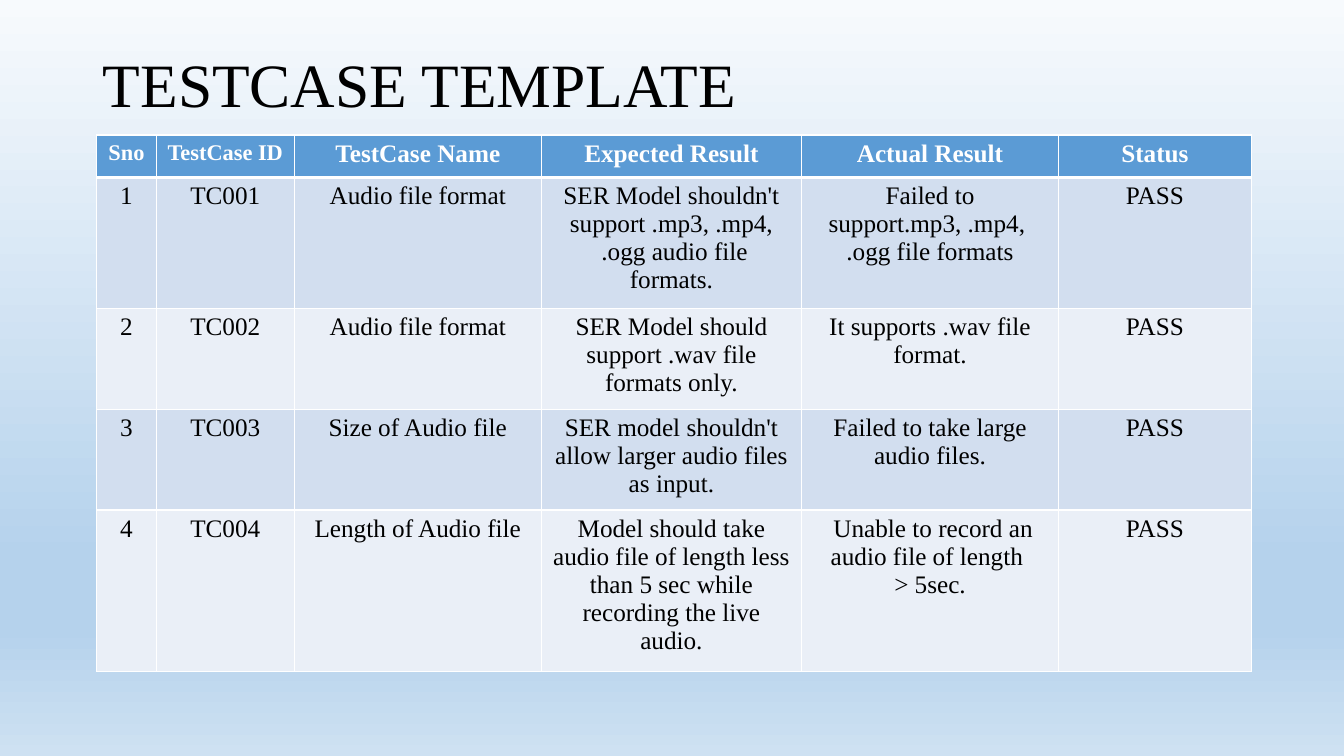
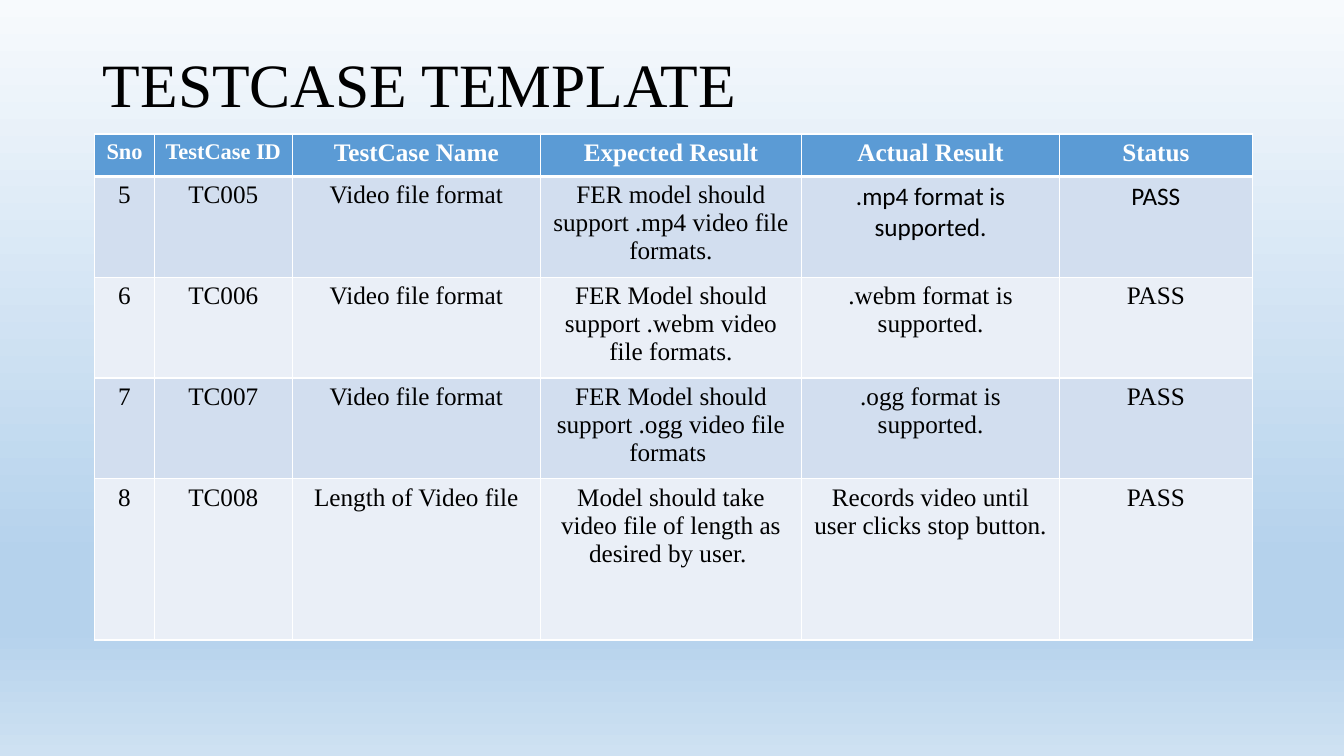
from lxml import etree
from pptx import Presentation
from pptx.dml.color import RGBColor
from pptx.enum import text
from pptx.oxml import parse_xml
from pptx.oxml.ns import nsdecls, qn
from pptx.util import Inches, Pt

COLORS = {
    "header": "5B9BD5",
    "odd_row": "D2DEEF",
    "even_row": "EAEFF7",
    "border": "FFFFFF",
    "header_text": "FFFFFF",
    "text": "000000",
}
BACKGROUND_STOPS = [(0, "F7FAFD"), (74, "B5D2EC"), (83, "B5D2EC"), (100, "CEE1F2")]
SERIF, SANS = "Times New Roman", "Calibri"
TITLE = "TESTCASE TEMPLATE"
HEADINGS = ["Sno", "TestCase ID", "TestCase Name", "Expected Result", "Actual Result", "Status"]
NARROW_COLUMNS = 2
THIN, THICK = 1, 3

AUDIO_CASES = [
    ("Audio file format",
     "SER Model shouldn't support .mp3, .mp4,\n .ogg audio file formats.",
     "Failed to support.mp3, .mp4, \n.ogg file formats"),
    ("Audio file format",
     "SER Model should support .wav file formats only.",
     "It supports .wav file format."),
    ("Size of Audio file",
     "SER model shouldn't allow larger audio files as input.",
     "Failed to take large audio files."),
    ("Length of Audio file",
     "Model should take audio file of length less than 5 sec while recording the live audio.",
     " Unable to record an audio file of length \n> 5sec."),
]
VIDEO_CASES = [
    ("Video file format",
     "FER model should support .mp4 video file formats.",
     ".mp4 format is supported."),
    ("Video file format",
     "FER Model should support .webm video file formats.",
     ".webm format is supported."),
    ("Video file format",
     "FER Model should support .ogg video file formats ",
     ".ogg format is supported."),
    ("Length of Video file",
     "Model should take video file of length as desired by user. ",
     "Records video until user clicks stop button."),
]


def set_master_background(master):
    stops = "".join(
        f'<a:gs pos="{percent * 1000}"><a:srgbClr val="{color}"/></a:gs>'
        for percent, color in BACKGROUND_STOPS
    )
    background = parse_xml(
        f'<p:bg {nsdecls("p", "a")}><p:bgPr><a:gradFill rotWithShape="1">'
        f'<a:gsLst>{stops}</a:gsLst><a:lin ang="5400000" scaled="0"/>'
        "</a:gradFill><a:effectLst/></p:bgPr></p:bg>"
    )
    content = master.element.find(qn("p:cSld"))
    for old in content.findall(qn("p:bg")):
        content.remove(old)
    content.insert(0, background)


def add_run(paragraph, words, size, color, font=SERIF, bold=False):
    run = paragraph.add_run()
    run.text = words
    run.font.name = font
    run.font.size = Pt(size)
    run.font.bold = bold
    run.font.color.rgb = RGBColor.from_string(COLORS[color])


def fill_title(title):
    title.left, title.top = Inches(0.92), Inches(0.4)
    title.width, title.height = Inches(11.5), Inches(0.94)
    frame = title.text_frame
    frame.auto_size = text.MSO_AUTO_SIZE.NONE
    frame.vertical_anchor = text.MSO_ANCHOR.MIDDLE
    paragraph = frame.paragraphs[0]
    paragraph.alignment = text.PP_ALIGN.LEFT
    paragraph.line_spacing = 0.9
    add_run(paragraph, TITLE, 44, "text")


def set_borders(cell, top, bottom):
    properties = cell._tc.get_or_add_tcPr()
    for side, points in (("L", THIN), ("R", THIN), ("T", top), ("B", bottom)):
        line = etree.SubElement(properties, qn(f"a:ln{side}"), w=str(Pt(points)))
        fill = etree.SubElement(line, qn("a:solidFill"))
        etree.SubElement(fill, qn("a:srgbClr"), val=COLORS["border"])


def fill_cell(cell, words, row, column, font):
    """Style a cell by its place: row 0 is the header, later rows are banded."""
    is_header = row == 0
    set_borders(cell, THICK if row == 1 else THIN, THICK if is_header else THIN)
    band = "header" if is_header else "odd_row" if row % 2 else "even_row"
    cell.fill.solid()
    cell.fill.fore_color.rgb = RGBColor.from_string(COLORS[band])
    size = 16 if is_header and column < NARROW_COLUMNS else 18
    color = "header_text" if is_header else "text"
    frame = cell.text_frame
    for index, line in enumerate(words.split("\n")):
        paragraph = frame.add_paragraph() if index else frame.paragraphs[0]
        paragraph.alignment = text.PP_ALIGN.CENTER
        add_run(paragraph, line, size, color, font, is_header)


def add_case_table(slide, cases, first_number, left, top, widths, heights, sans_cells):
    rows = [HEADINGS] + [
        [str(number), f"TC{number:03}", *case, "PASS"]
        for number, case in enumerate(cases, first_number)
    ]
    table = slide.shapes.add_table(
        len(rows), len(HEADINGS), Inches(left), Inches(top),
        Inches(sum(widths)), Inches(sum(heights)),
    ).table
    for column, width in zip(table.columns, widths):
        column.width = Inches(width)
    for row, height in zip(table.rows, heights):
        row.height = Inches(height)
    for r, row_words in enumerate(rows):
        for c, words in enumerate(row_words):
            font = SANS if (r, c) in sans_cells else SERIF
            fill_cell(table.cell(r, c), words, r, c, font)


def add_case_slide(deck, cases, first_number, left, top, widths, heights, sans_cells=()):
    slide = deck.slides.add_slide(deck.slide_layouts.get_by_name("Title Only"))
    fill_title(slide.shapes.title)
    add_case_table(slide, cases, first_number, left, top, widths, heights, sans_cells)


def main():
    deck = Presentation()
    deck.slide_width, deck.slide_height = Inches(13.33), Inches(7.5)
    set_master_background(deck.slide_master)
    add_case_slide(deck, AUDIO_CASES, 1, 0.96, 1.34,
                   [0.59, 1.37, 2.45, 2.58, 2.55, 1.91], [0.42, 1.3, 1, 1, 1.6])
    add_case_slide(deck, VIDEO_CASES, 5, 0.94, 1.33,
                   [0.59, 1.37, 2.46, 2.59, 2.56, 1.91], [0.42, 1, 1, 1, 1.6],
                   sans_cells={(1, 4), (1, 5)})
    deck.save("out.pptx")


if __name__ == "__main__":
    main()
